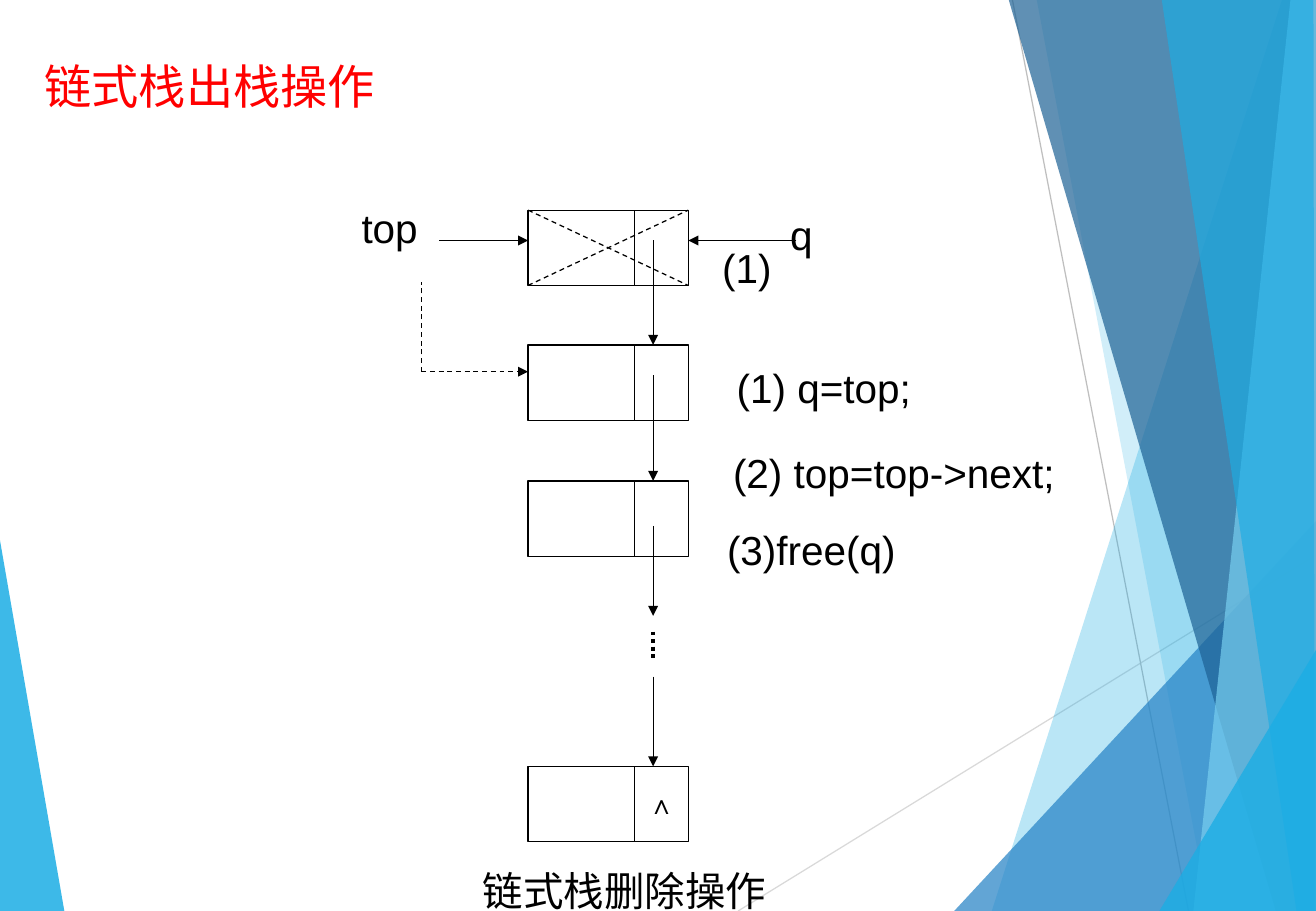
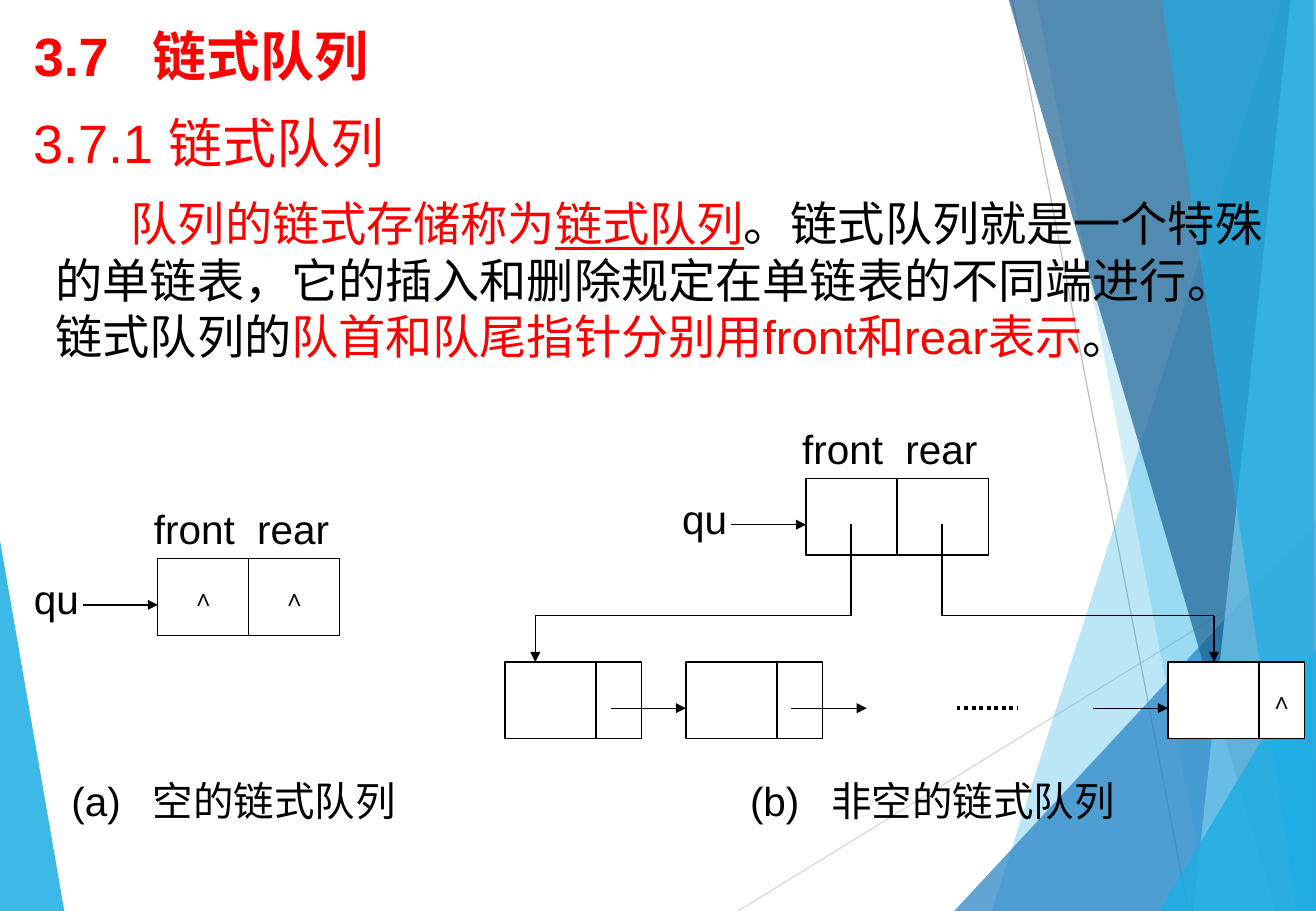
from lxml import etree
from pptx import Presentation
from pptx.dml.color import RGBColor
from pptx.enum.dml import MSO_LINE
from pptx.enum.shapes import MSO_CONNECTOR, MSO_SHAPE
from pptx.enum.text import MSO_ANCHOR, PP_ALIGN
from pptx.oxml.ns import qn
from pptx.util import Inches, Pt

BLACK, WHITE, RED = "000000", "FFFFFF", "FF0000"
SKY, BLUE, NAVY, PALE = "1CADE4", "2683C6", "1D6295", "77CEEF"
NIL = "∧"
W, H = 10.84, 7.5

# Back to front: (colour, opacity in %, corner points)
LEFT_WEDGE = (SKY, 85, [(-0.01, 4.39), (0.53, H), (-0.01, H)])
RIGHT_BANDS = [
    (SKY, 30, [(10.56, 0), (8.17, H), (W, H), (W, 0)]),
    (SKY, 20, [(8.54, 0), (9.96, H), (W, H), (W, 0)]),
    (BLUE, 72, [(7.86, H), (W, 4.29), (W, H)]),
    (NAVY, 70, [(8.31, 0), (10.51, H), (W, H), (W, 0)]),
    (PALE, 70, [(10.63, 0), (9.83, H), (W, H), (W, 0)]),
    (SKY, 65, [(9.57, 0), (10.68, H), (10.83, H), (10.82, 0)]),
    (SKY, 80, [(9.55, H), (W, 5.35), (W, H)]),
]


def rgb(value):
    return RGBColor.from_string(value)


def add_line(s, x1, y1, x2, y2, color=BLACK, width=0.75, dash=None, arrow=False):
    c = s.shapes.add_connector(MSO_CONNECTOR.STRAIGHT, *map(Inches, (x1, y1, x2, y2)))
    c.line.color.rgb = rgb(color)
    c.line.width = Pt(width)
    if dash:
        c.line.dash_style = dash
    spPr = c.element.spPr
    if arrow:
        etree.SubElement(spPr.find(qn("a:ln")), qn("a:tailEnd"), type="triangle")
    etree.SubElement(spPr, qn("a:effectLst"))
    return c


def add_arrow(s, x1, y1, x2, y2, dash=None):
    return add_line(s, x1, y1, x2, y2, dash=dash, arrow=True)


def add_dots(s, x1, y1, x2, y2):
    return add_line(s, x1, y1, x2, y2, width=2.25, dash=MSO_LINE.ROUND_DOT)


def add_band(s, color, opacity, points):
    corners = [(Inches(x), Inches(y)) for x, y in points]
    builder = s.shapes.build_freeform(*corners[0])
    builder.add_line_segments(corners[1:], close=True)
    sp = builder.convert_to_shape()
    sp.shadow.inherit = False
    sp.fill.solid()
    sp.fill.fore_color.rgb = rgb(color)
    clr = sp.element.spPr.find(qn("a:solidFill"))[0]
    etree.SubElement(clr, qn("a:alpha"), val=str(opacity * 1000))
    sp.line.fill.background()
    return sp


def add_backdrop(s):
    """Draw the shared backdrop and hand it to the slide's layout."""
    parts = [
        add_band(s, *LEFT_WEDGE),
        add_line(s, 6.08, H, W, 4.57, color="D9D9D9"),
        add_line(s, 8.34, 0, 9.79, H, color="BFBFBF"),
    ]
    parts += [add_band(s, *band) for band in RIGHT_BANDS]
    tree = s.slide_layout.shapes.element
    for number, part in enumerate(parts, 100):
        part.element.xpath(".//p:cNvPr")[0].set("id", str(number))
        tree.append(part.element)


def add_run(p, text, color=BLACK, **font):
    r = p.add_run()
    r.text = text
    r.font.color.rgb = rgb(color)
    for name, value in {"name": "Arial", **font}.items():
        setattr(r.font, name, value)


def add_text(s, x, y, w, runs, size=24, h=0.5, align=PP_ALIGN.LEFT,
             indent=0, tab=None, **font):
    """Add a one-paragraph box; runs is a string or (text, format) pairs."""
    tf = s.shapes.add_textbox(*map(Inches, (x, y, w, h))).text_frame
    tf.word_wrap = True
    p = tf.paragraphs[0]
    p.alignment = align
    pPr = p._p.get_or_add_pPr()
    if indent:
        pPr.set("indent", str(Inches(indent)))
    if tab:
        tabs = etree.SubElement(pPr, qn("a:tabLst"))
        etree.SubElement(tabs, qn("a:tab"), pos=str(Inches(tab)), algn="l")
    for text, extra in [(runs, {})] if isinstance(runs, str) else runs:
        add_run(p, text, **{"size": Pt(size), **font, **extra})


def add_cell(s, x, y, w, h, mark="", size=14):
    sp = s.shapes.add_shape(MSO_SHAPE.RECTANGLE, *map(Inches, (x, y, w, h)))
    sp.shadow.inherit = False
    sp.fill.solid()
    sp.fill.fore_color.rgb = rgb(WHITE)
    sp.line.color.rgb = rgb(BLACK)
    sp.line.width = Pt(0.75)
    if mark:
        tf = sp.text_frame
        tf.word_wrap = False
        tf.vertical_anchor = MSO_ANCHOR.MIDDLE
        p = tf.paragraphs[0]
        p.alignment = PP_ALIGN.CENTER
        add_run(p, mark, name="Times New Roman", size=Pt(size))


def add_node(s, x, y, data_w, h, mark="", size=14):
    """Add a list node: a data cell and a link cell half as wide."""
    add_cell(s, x, y, data_w, h)
    add_cell(s, x + data_w, y, data_w / 2, h, mark, size)


def add_queue_head(s, x, y, mark=""):
    for i in range(2):
        add_cell(s, x + i * 0.75, y, 0.75, 0.63, mark)
    add_text(s, x - 1.12, y + 0.08, 0.99, "qu")
    add_arrow(s, x - 0.62, y + 0.38, x, y + 0.38)
    add_text(s, x - 0.13, y - 0.5, 2.11, "front\trear", tab=0.85)


def build_stack_pop(s):
    add_text(s, 0.27, 0.42, 8.03, "链式栈出栈操作", size=28, h=0.57, color=RED)

    left, data_w, h = 4.35, 0.88, 0.62
    right, link_x = left + data_w * 1.5, 5.38
    for y, mark in [(1.73, ""), (2.84, ""), (3.96, ""), (6.31, NIL)]:
        add_node(s, left, y, data_w, h, mark, size=16)
    for y1, y2 in [(1.98, 2.84), (3.09, 3.96), (4.33, 5.07), (5.57, 6.31)]:
        add_arrow(s, link_x, y1, link_x, y2)
    add_dots(s, link_x, 5.2, link_x, 5.44)

    for y1, y2 in [(1.73 + h, 1.73), (1.73, 1.73 + h)]:
        add_line(s, left, y1, right, y2, dash=MSO_LINE.DASH)
    add_arrow(s, 3.62, 1.98, left, 1.98)
    add_arrow(s, 6.56, 1.98, right, 1.98)
    add_line(s, 3.47, 3.06, 3.47, 2.32, dash=MSO_LINE.DASH)
    add_arrow(s, 3.47, 3.06, left, 3.06, dash=MSO_LINE.DASH)

    for x, y, w, text in [
        (2.88, 1.62, 1.03, "top"),
        (6.41, 1.68, 0.59, "q"),
        (5.85, 1.95, 1.03, "(1)"),
        (5.97, 2.94, 3.67, "(1) q=top;"),
        (5.94, 3.64, 2.94, "(2) top=top->next;"),
        (5.89, 4.27, 3.79, "(3)free(q)"),
    ]:
        add_text(s, x, y, w, text)
    add_text(s, 2.28, 7.08, 5.73, "链式栈删除操作", align=PP_ALIGN.CENTER)


def build_linked_queue(s):
    add_text(s, 0.18, 0.14, 9.75, "3.7\t链式队列", size=32, h=0.53, tab=0.98,
             color=RED, bold=True)
    add_text(s, 0.18, 0.85, 5.15, "3.7.1 链式队列", size=32, h=0.64, color=RED)
    red = {"color": RED}
    add_text(s, 0.36, 1.55, 10.2, [
        ("队列的链式存储称为", red),
        ("链式队列", {"color": RED, "underline": True}),
        ("。链式队列就是一个特殊的单链表，它的插入和删除规定在单链表的不同端进行。"
         "链式队列的", {}),
        ("队首和队尾指针分别用front和rear表示", red),
        ("。", {}),
    ], size=28, h=1.5, indent=0.62)

    add_queue_head(s, 1.3, 4.6, NIL)
    add_queue_head(s, 6.64, 3.94)

    node_y, link_y, bend_y = 5.45, 5.83, 5.07
    for x, mark in [(4.16, ""), (5.65, ""), (9.62, NIL)]:
        add_node(s, x, node_y, 0.75, 0.63, mark)
    for x in (5.03, 6.52, 9):
        add_arrow(s, x, link_y, x + 0.62, link_y)
    add_dots(s, 7.88, link_y, 8.38, link_y)
    for start_x, end_x in [(7.01, 4.41), (7.76, 10)]:
        add_line(s, start_x, 4.31, start_x, bend_y)
        add_line(s, start_x, bend_y, end_x, bend_y)
        add_arrow(s, end_x, bend_y, end_x, node_y)

    for x, text in [(0.49, "(a)\t空的链式队列"), (6.08, "(b)\t非空的链式队列")]:
        add_text(s, x, 6.34, 3.5, text, tab=0.67)


def main():
    prs = Presentation()
    prs.slide_width, prs.slide_height = Inches(W), Inches(H)
    blank = prs.slide_layouts[6]
    stack, queue = [prs.slides.add_slide(blank) for _ in range(2)]
    add_backdrop(stack)
    build_stack_pop(stack)
    build_linked_queue(queue)
    prs.save("out.pptx")


if __name__ == "__main__":
    main()
